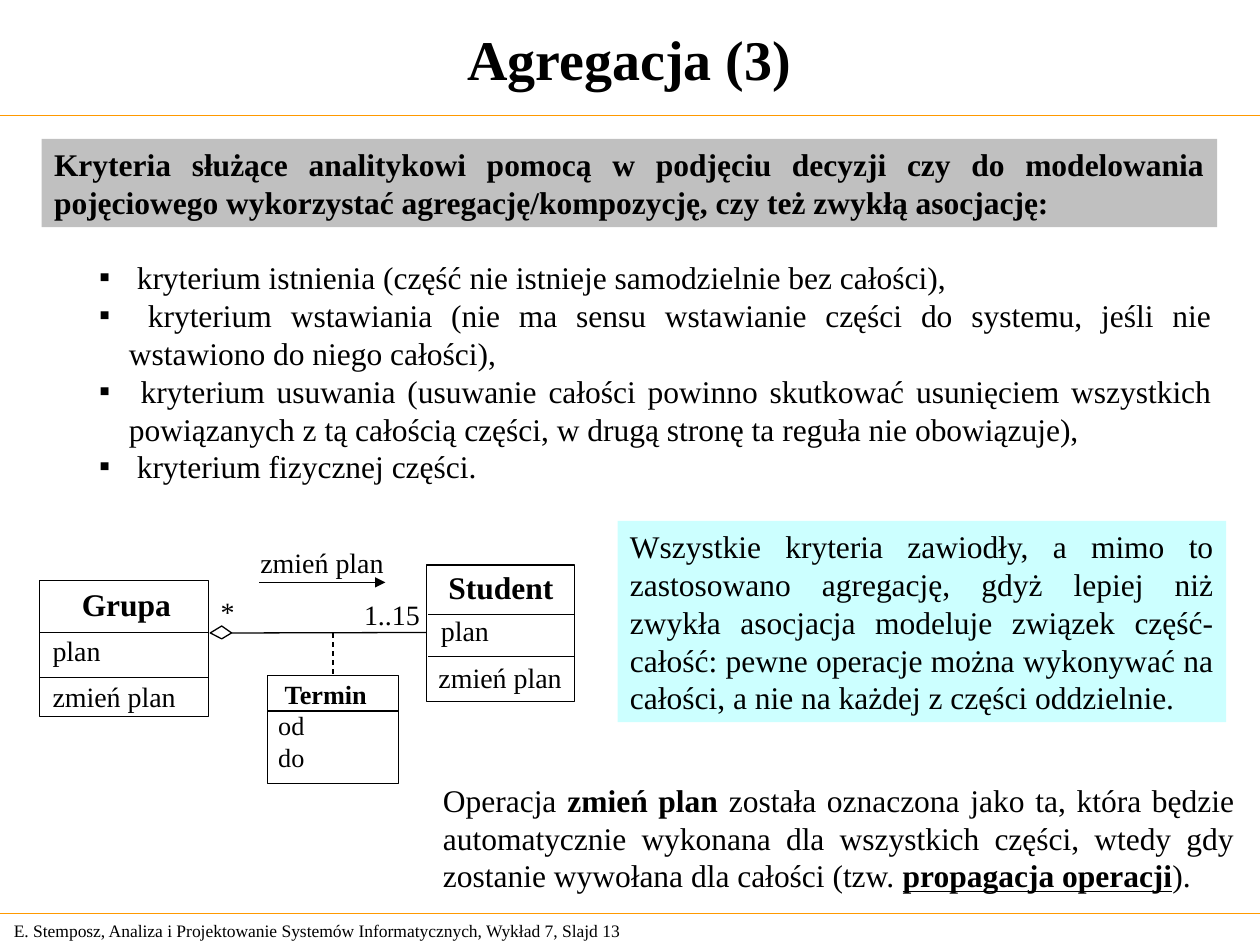
from dataclasses import dataclass

from lxml import etree
from pptx import Presentation
from pptx import util as u
from pptx.dml.color import RGBColor
from pptx.enum import dml, shapes, text
from pptx.oxml import ns

Cm, Pt = u.Cm, u.Pt
LEFT, CENTER, JUSTIFY = text.PP_ALIGN.LEFT, text.PP_ALIGN.CENTER, text.PP_ALIGN.JUSTIFY


@dataclass(frozen=True)
class Theme:
    font: str = "Times New Roman"
    ink: RGBColor = RGBColor(0, 0, 0)
    paper: RGBColor = RGBColor(255, 255, 255)
    rule: RGBColor = RGBColor(0xFF, 0x99, 0x00)
    grey: RGBColor = RGBColor(0xC0, 0xC0, 0xC0)
    cyan: RGBColor = RGBColor(0xCC, 0xFF, 0xFF)
    title: int = 32
    body: int = 18
    label: int = 16
    small: int = 15
    footer: int = 10


theme = Theme()
presentation = Presentation()
presentation.slide_width, presentation.slide_height = Cm(25.4), Cm(19.05)
slide = presentation.slides.add_slide(presentation.slide_layouts[6])


def add_text(box, paragraphs, size, align=LEFT, fill=None, inset=True,
             anchor=text.MSO_ANCHOR.TOP, bullet=None):
    """Add paragraphs, each a list of (words, style); style holds b and u marks."""
    place = [Cm(value) for value in box]
    if fill is None:
        shape = slide.shapes.add_textbox(*place)
    else:
        shape = slide.shapes.add_shape(shapes.MSO_SHAPE.RECTANGLE, *place)
        shape.shadow.inherit = False
        shape.fill.solid()
        shape.fill.fore_color.rgb = fill
        shape.line.fill.background()
    frame = shape.text_frame
    frame.word_wrap = True
    frame.vertical_anchor = anchor
    frame.margin_left = frame.margin_right = Cm(0.25 if inset else 0)
    frame.margin_top = frame.margin_bottom = Cm(0.13 if inset else 0)
    for index, runs in enumerate(paragraphs):
        paragraph = frame.paragraphs[0] if index == 0 else frame.add_paragraph()
        paragraph.alignment = align
        if bullet:
            properties = paragraph._p.get_or_add_pPr()
            properties.set("marL", str(Cm(0.6)))
            properties.set("indent", str(-Cm(0.6)))
            etree.SubElement(properties, ns.qn("a:buFont")).set("typeface", theme.font)
            etree.SubElement(properties, ns.qn("a:buChar")).set("char", bullet)
        for words, style in runs:
            run = paragraph.add_run()
            run.text = words
            run.font.name = theme.font
            run.font.size = Pt(size)
            run.font.color.rgb = theme.ink
            run.font.bold = "b" in style
            run.font.underline = "u" in style


def add_line(x1, y1, x2, y2, color=theme.ink, dashed=False, arrow=False):
    line = slide.shapes.add_connector(
        shapes.MSO_CONNECTOR.STRAIGHT, Cm(x1), Cm(y1), Cm(x2), Cm(y2))
    line.line.color.rgb = color
    line.line.width = Pt(0.75)
    if dashed:
        line.line.dash_style = dml.MSO_LINE.DASH
    if arrow:
        etree.SubElement(line.line._get_or_add_ln(), ns.qn("a:tailEnd")).set("type", "triangle")
    etree.SubElement(line._element.spPr, ns.qn("a:effectLst"))


# Title, footer and rules
middle = text.MSO_ANCHOR.MIDDLE
add_text((0.03, 18.42, 13.31, 0.69),
         [[("E. Stemposz, Analiza i Projektowanie Systemów Informatycznych, Wykład 7, Slajd 13", "")]],
         theme.footer, anchor=middle)
for y in (2.33, 18.41):
    add_line(0, y, 25.4, y, theme.rule)
add_text((0, 0, 25.37, 2.34), [[("Agregacja (3)", "b")]], theme.title, CENTER, anchor=middle)

# Criteria
add_text((0.84, 2.8, 23.7, 1.78),
         [[("Kryteria służące analitykowi pomocą w podjęciu decyzji czy do modelowania "
            "pojęciowego wykorzystać agregację/kompozycję, czy też zwykłą asocjację:", "b")]],
         theme.body, JUSTIFY, theme.grey)
criteria = [
    " kryterium istnienia (część nie istnieje samodzielnie bez całości),",
    " kryterium wstawiania (nie ma sensu wstawianie części do systemu, jeśli nie "
    "wstawiono do niego całości),",
    " kryterium usuwania (usuwanie całości powinno skutkować usunięciem wszystkich "
    "powiązanych z tą całością części, w drugą stronę ta reguła nie obowiązuje),",
    " kryterium fizycznej części.",
]
add_text((1.75, 5.08, 22.94, 4.83), [[(criterion, "")] for criterion in criteria],
         theme.body, JUSTIFY, bullet="▪")

# Comments
add_text((12.45, 10.5, 12.27, 4.06),
         [[("Wszystkie kryteria zawiodły, a mimo to zastosowano agregację, gdyż lepiej niż "
            "zwykła asocjacja modeluje związek część-całość: pewne operacje można wykonywać "
            "na całości, a nie na każdej z części oddzielnie.", "")]],
         theme.body, JUSTIFY, theme.cyan)
add_text((8.68, 15.61, 16.46, 2.54),
         [[("Operacja ", ""), ("zmień plan ", "b"),
           ("została oznaczona jako ta, która będzie automatycznie wykonana dla wszystkich "
            "części, wtedy gdy zostanie wywołana dla całości (tzw. ", ""),
           ("propagacja operacji", "bu"), (").", "")]],
         theme.body, JUSTIFY)

# Class boxes: outline, then dividers as (left, right, heights)
classes = [
    ((0.8, 11.7, 3.4, 2.74), (0.8, 4.2, (12.75, 13.66))),
    ((5.39, 13.62, 2.64, 2.18), (5.39, 8.03, (14.33,))),
    ((8.6, 11.39, 2.98, 2.76), (8.63, 11.58, (12.39, 13.23))),
]
for outline, (left, right, heights) in classes:
    box = slide.shapes.add_shape(shapes.MSO_SHAPE.RECTANGLE, *[Cm(value) for value in outline])
    box.shadow.inherit = False
    box.fill.solid()
    box.fill.fore_color.rgb = theme.paper
    box.line.color.rgb = theme.ink
    box.line.width = Pt(0)
    for y in heights:
        add_line(left, y, right, y)

# Association with its aggregation diamond and association class
builder = slide.shapes.build_freeform(Cm(4.24), Cm(12.76))
builder.add_line_segments([(Cm(x), Cm(y)) for x, y in ((4.47, 12.62), (4.67, 12.76), (4.47, 12.88))])
diamond = builder.convert_to_shape()
diamond.shadow.inherit = False
diamond.fill.solid()
diamond.fill.fore_color.rgb = theme.paper
diamond.line.color.rgb = theme.ink
diamond.line.width = Pt(0)
add_line(4.67, 12.76, 8.6, 12.75)
add_line(6.71, 12.76, 6.71, 13.62, dashed=True)
add_line(5.23, 11.74, 7.77, 11.74, arrow=True)

# Diagram labels: box, lines, size, style, inset
labels = [
    ((1.65, 11.79, 2.3, 0.76), ["Grupa"], theme.body, "b", False),
    ((5.74, 13.67, 2.2, 0.64), ["Termin"], theme.small, "b", False),
    ((9.04, 11.46, 2.5, 0.76), ["Student"], theme.body, "b", False),
    ((5.61, 14.3, 1, 1.27), ["od", "do"], theme.small, "", False),
    ((4.45, 11.99, 0.48, 0.69), ["*"], theme.label, "", False),
    ((7.34, 12.04, 1.5, 0.69), ["1..15"], theme.label, "", False),
    ((0.81, 12.65, 2, 0.94), ["plan"], theme.label, "", True),
    ((8.64, 12.24, 2, 0.94), ["plan"], theme.label, "", True),
    ((0.81, 13.56, 3.3, 0.94), ["zmień plan"], theme.label, "", True),
    ((5, 10.87, 3.3, 0.94), ["zmień plan"], theme.label, "", True),
    ((8.59, 13.18, 3.3, 0.94), ["zmień plan"], theme.label, "", True),
]
for box, lines, size, style, inset in labels:
    add_text(box, [[(line, style)] for line in lines], size, inset=inset)

presentation.save("out.pptx")
